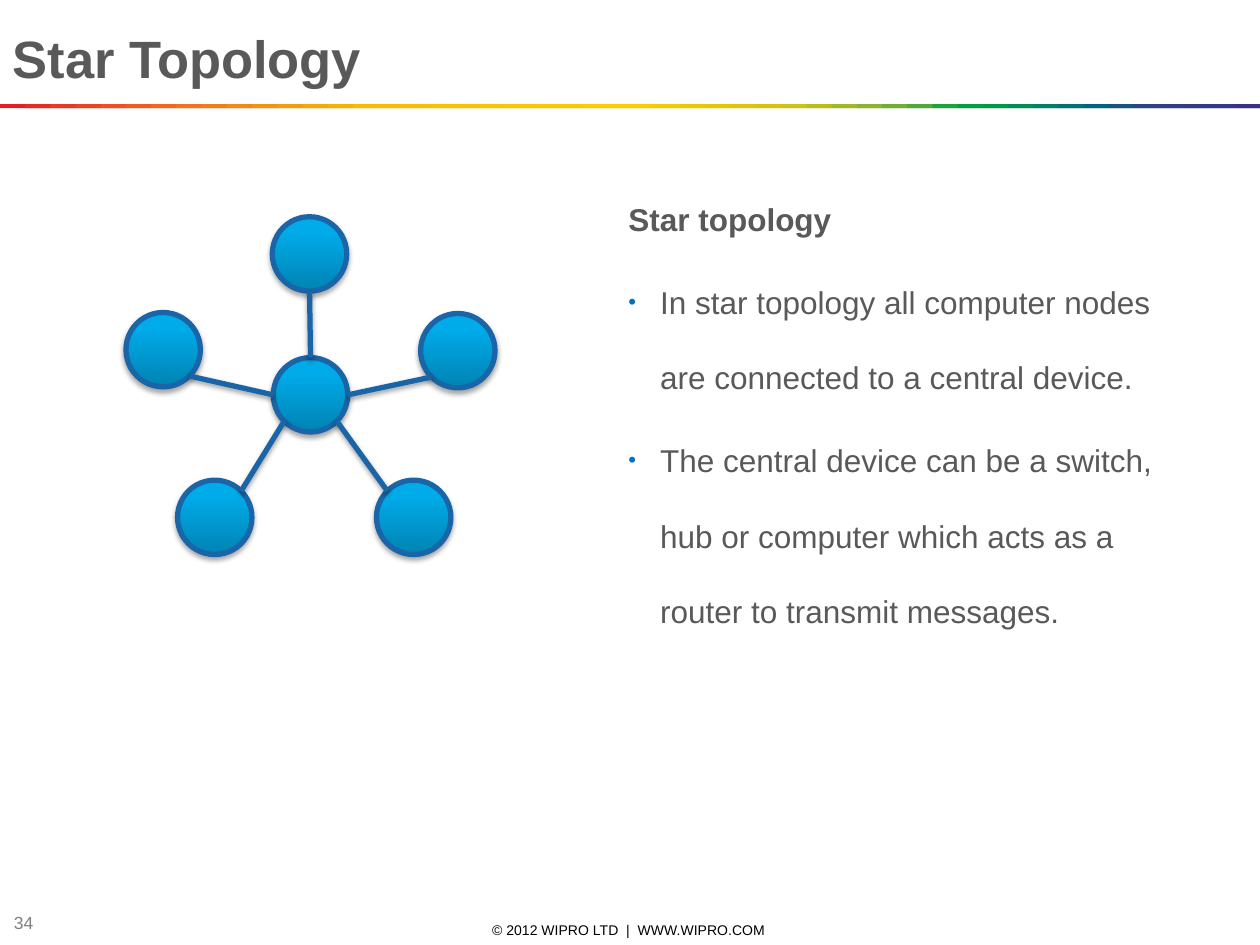
from math import cos, radians, sin

from lxml import etree
from pptx import Presentation
from pptx import util as u
from pptx.dml.color import RGBColor
from pptx.enum import shapes, text
from pptx.oxml import ns

Cm, Pt = u.Cm, u.Pt
GREY, NODE_LINE = "595959", "1965A7"
rgb = RGBColor.from_string


def add_run(paragraph, words, size, colour, bold=False):
    run = paragraph.add_run()
    run.text = words
    run.font.name, run.font.size, run.font.bold = "Arial", Pt(size), bold
    run.font.color.rgb = rgb(colour)


def outline_with_shadow(shape, opacity, distance):
    shape.line.color.rgb = rgb(NODE_LINE)
    shape.line.width = Pt(3)
    effects = etree.SubElement(shape._element.spPr, ns.qn("a:effectLst"))
    shadow = etree.SubElement(effects, ns.qn("a:outerShdw"), blurRad=str(Pt(3.1)),
                              dist=str(Pt(distance)), dir="5400000", rotWithShape="0")
    black = etree.SubElement(shadow, ns.qn("a:srgbClr"), val="000000")
    etree.SubElement(black, ns.qn("a:alpha"), val=str(opacity * 1000))


presentation = Presentation()
presentation.slide_width, presentation.slide_height = Cm(25.4), Cm(19.05)
slide = presentation.slides.add_slide(presentation.slide_layouts[5])

# Title
title = slide.shapes.title
title.left, title.top, title.width, title.height = Cm(0), Cm(0.38), Cm(25.4), Cm(1.55)
title.text_frame.vertical_anchor = text.MSO_ANCHOR.MIDDLE
title.text_frame.paragraphs[0].alignment = text.PP_ALIGN.LEFT
add_run(title.text_frame.paragraphs[0], "Star Topology", 30, GREY, True)

# Rainbow rule: each tile reaches under the next one
rainbow = """
E31E24 E42C24 E53A24 E74623 E85122 EA5D21 EC691F EE741D EF7E1A F18817
F39314 F49C0F F6A607 F8B002 FBBA00 FBBB00 FBBD00 FCBF00 FCC000 FCC200
FDC400 FDC600 FDC700 FEC900 FECB00 FBCB00 F3CA00 ECC800 E4C602 DCC50A
D5C30E CCC117 B8BC21 A3B829 8CB230 71AD36 51A73B 1DA240 009D43 009846
008C57 008068 007275 00637F 185384 2E4285 313E85 333B85 353885 393185
""".split()
step = 25.4 / len(rainbow)
rule = slide.shapes.add_group_shape()
for i, colour in enumerate(rainbow):
    width = step * min(2, len(rainbow) - i)
    tile = rule.shapes.add_shape(shapes.MSO_SHAPE.RECTANGLE,
                                 Cm(i * step), Cm(2.1), Cm(width), Cm(0.08))
    tile.shadow.inherit = False
    tile.fill.solid()
    tile.fill.fore_color.rgb = rgb(colour)
    tile.line.fill.background()

# Explanation
body = slide.shapes.add_textbox(Cm(12.42), Cm(3.15), Cm(12.04), Cm(11.53)).text_frame
body.word_wrap = True
points = [
    "Star topology",
    "In star topology all computer nodes are connected to a central device.",
    "The central device can be a switch, hub or computer which acts as a router "
    "to transmit messages.",
]
for i, point in enumerate(points):
    paragraph = body.add_paragraph() if i else body.paragraphs[0]
    paragraph.line_spacing = 2.0
    properties = paragraph._p.get_or_add_pPr()
    properties.set("marL", str(Cm(0.64)))
    properties.set("indent", str(-Cm(0.64)))
    if i:
        paragraph.space_before = Pt(4)
        bullet_colour = etree.SubElement(properties, ns.qn("a:buClr"))
        etree.SubElement(bullet_colour, ns.qn("a:srgbClr"), val="0070C0")
        etree.SubElement(properties, ns.qn("a:buSzPct"), val="70000")
        etree.SubElement(properties, ns.qn("a:buFont"), typeface="Arial")
        etree.SubElement(properties, ns.qn("a:buChar"), char="•")
    add_run(paragraph, point, 18, GREY, bold=i == 0)

# Star diagram: left and top of each node, then the angles (clockwise from
# the right) at which its link leaves the hub and meets the node
diameter = 1.5
hub = (5.51, 7.21)
outer_nodes = [
    ((7.59, 9.68), 45, 225),
    ((3.58, 9.68), 135, 315),
    ((8.48, 6.32), 0, 135),
    ((2.54, 6.3), 180, 45),
    ((5.49, 4.37), 270, 90),
]
star = slide.shapes.add_group_shape()
for left, top in [node for node, _, _ in outer_nodes] + [hub]:
    circle = star.shapes.add_shape(shapes.MSO_SHAPE.OVAL, Cm(left), Cm(top),
                                   Cm(diameter), Cm(diameter))
    circle.fill.gradient()
    circle.fill.gradient_angle = 90
    for stop, position, colour in zip(circle.fill.gradient_stops, (0, 0.8),
                                      ("0083B3", "00ABE9")):
        stop.position, stop.color.rgb = position, rgb(colour)
    outline_with_shadow(circle, 35, 1.8)

for node, hub_angle, node_angle in outer_nodes:
    ends = []
    for (left, top), angle in ((hub, hub_angle), (node, node_angle)):
        ends += [Cm(left + diameter / 2 * (1 + cos(radians(angle)))),
                 Cm(top + diameter / 2 * (1 + sin(radians(angle))))]
    link = star.shapes.add_connector(shapes.MSO_CONNECTOR.STRAIGHT, *ends)
    outline_with_shadow(link, 38, 1.6)

# Footer
footers = [
    ("© 2012 WIPRO LTD  |  WWW.WIPRO.COM", 8, "000000", text.PP_ALIGN.CENTER,
     (8.65, 18.54, 8.05, 0.41)),
    ("34", 10, "808080", text.PP_ALIGN.LEFT, (0.03, 18.34, 1.9, 0.53)),
]
for words, size, colour, alignment, box in footers:
    frame = slide.shapes.add_textbox(*map(Cm, box)).text_frame
    frame.word_wrap = True
    frame.margin_top = frame.margin_bottom = 0
    frame.vertical_anchor = text.MSO_ANCHOR.MIDDLE
    frame.paragraphs[0].alignment = alignment
    add_run(frame.paragraphs[0], words, size, colour)

presentation.save("out.pptx")
